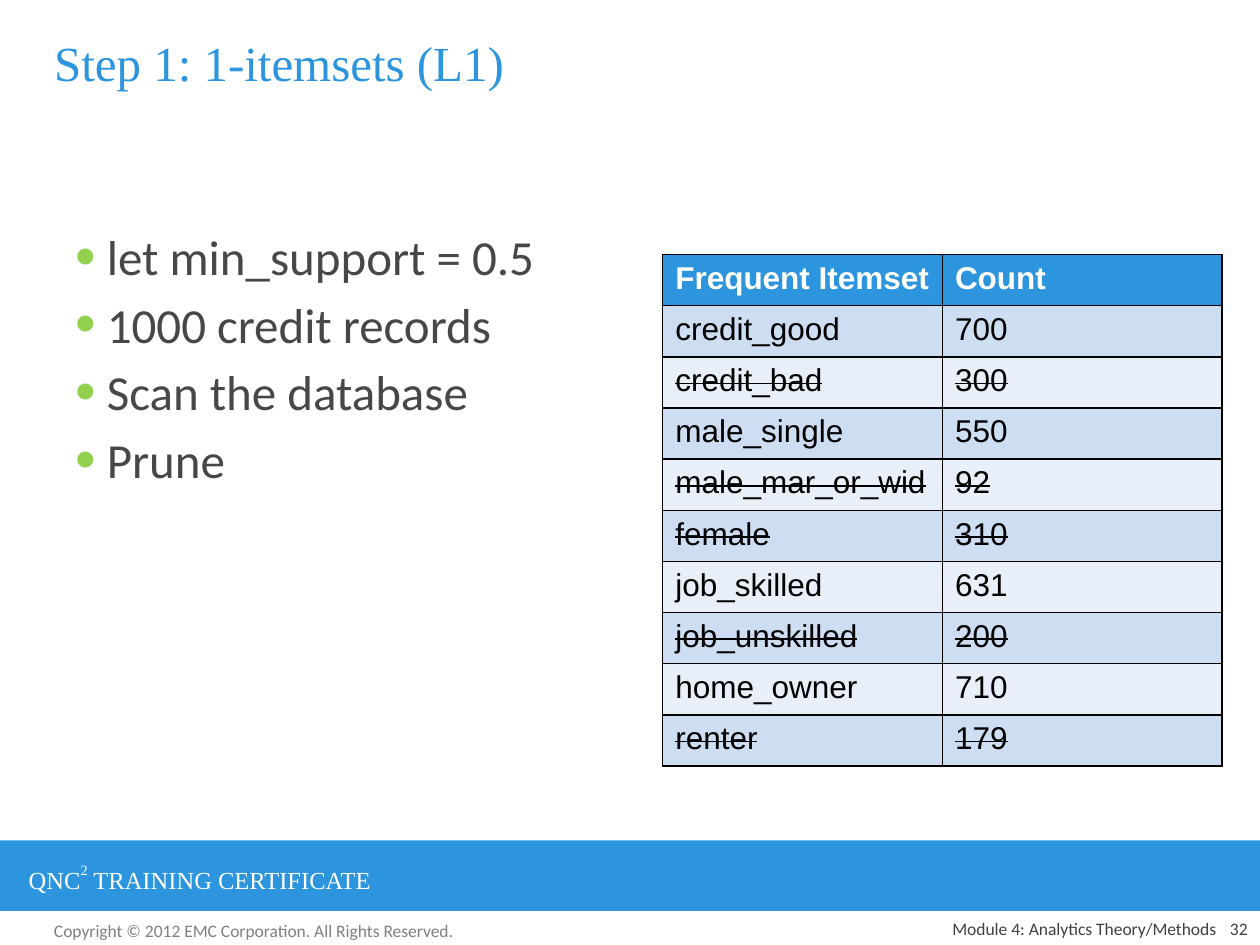
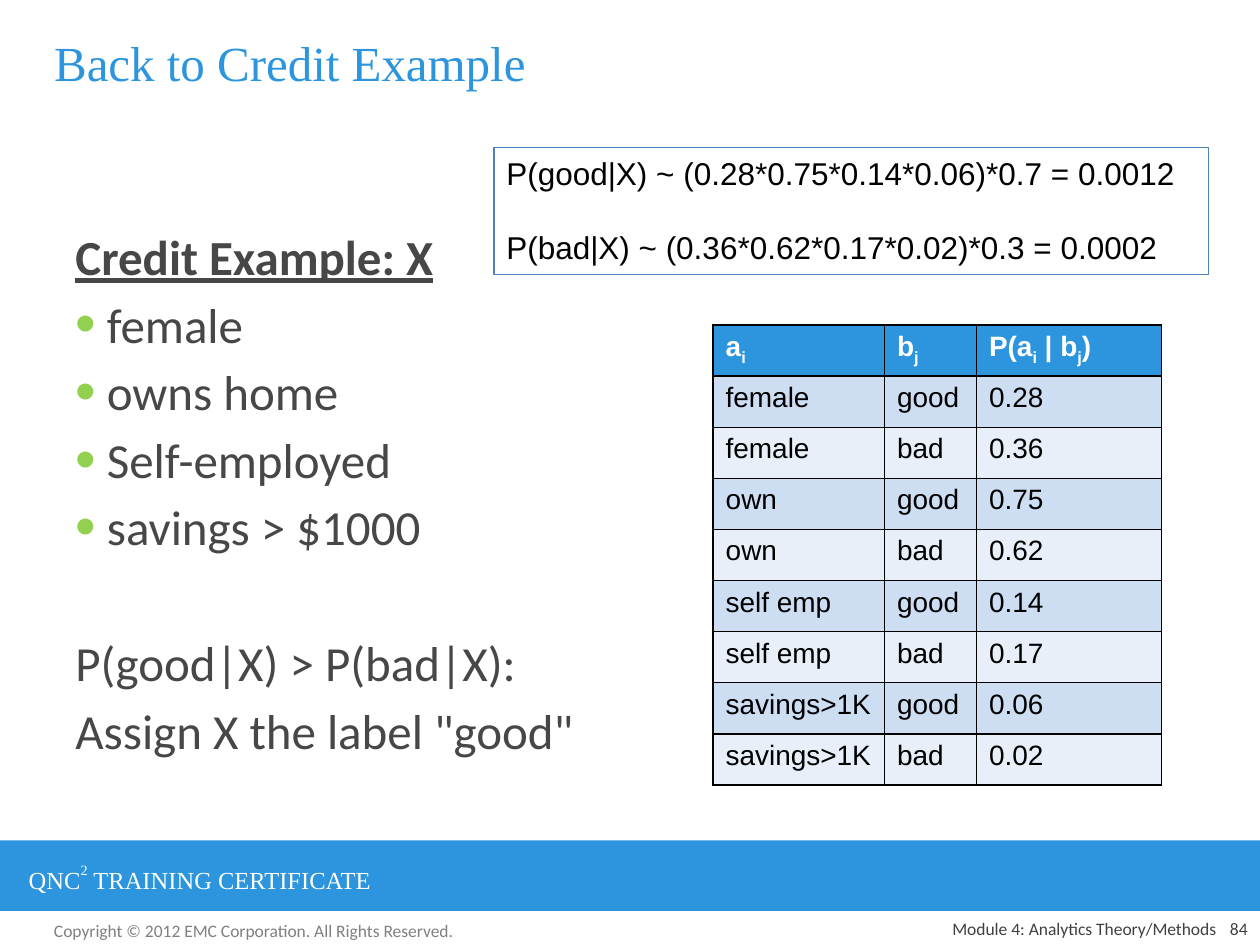
from pptx import Presentation
from pptx.dml.color import RGBColor
from pptx.enum.shapes import MSO_SHAPE as Shape
from pptx.enum.text import MSO_ANCHOR as Anchor, MSO_AUTO_SIZE as AutoSize, PP_ALIGN as Align
from pptx.oxml.ns import qn
from pptx.util import Inches, Pt
from lxml.etree import SubElement

BLUE = RGBColor(0x2C, 0x95, 0xDD)
BOX_LINE = RGBColor(0x4F, 0x81, 0xBD)
BAND_ROWS = (RGBColor(0xE8, 0xEF, 0xF9), RGBColor(0xCD, 0xDD, 0xF2))
GREEN = RGBColor(0x92, 0xD0, 0x50)
BODY_GRAY = RGBColor(0x47, 0x47, 0x47)
FOOTER_GRAY = RGBColor(0x40, 0x40, 0x40)
COPYRIGHT_GRAY = RGBColor(0x80, 0x80, 0x80)
WHITE = RGBColor(0xFF, 0xFF, 0xFF)
BLACK = RGBColor(0, 0, 0)

HEADING_FONT, BODY_FONT, TABLE_FONT = "Times New Roman", "Calibri", "Arial"
LINE_GAP = 5
BLANK_LINE_GAP = 44
SUBSCRIPT, SUPERSCRIPT = -25, 56


def place(shape, left, top, width, height):
    shape.left, shape.top = Inches(left), Inches(top)
    shape.width, shape.height = Inches(width), Inches(height)


def write(para, content, font, size, color, bold=None, strike=False):
    """Fill a paragraph with a string, or with (text, baseline percent) spans."""
    if isinstance(content, str):
        para.text = content
    else:
        for text, baseline in content:
            span = para.add_run()
            span.text = text
            if baseline:
                span._r.get_or_add_rPr().set("baseline", str(baseline * 1000))
    for span in para.runs:
        span.font.name, span.font.size, span.font.bold = font, Pt(size), bold
        span.font.color.rgb = color
        if strike:
            span._r.get_or_add_rPr().set("strike", "sngStrike")


def hang(para, bullet):
    props = para._p.get_or_add_pPr()
    props.set("marL", str(Inches(0.25)))
    props.set("indent", str(Inches(-0.25)))
    if bullet:
        color = SubElement(props, qn("a:buClr"))
        SubElement(color, qn("a:srgbClr")).set("val", str(GREEN))
        SubElement(props, qn("a:buSzPct")).set("val", "120000")
        SubElement(props, qn("a:buFont")).set("typeface", "Arial")
        SubElement(props, qn("a:buChar")).set("char", "•")


def outline_cell(cell):
    props = cell._tc.get_or_add_tcPr()
    for side in ("lnL", "lnR", "lnT", "lnB"):
        line = SubElement(props, qn(f"a:{side}"))
        line.set("w", str(Pt(1)))
        fill = SubElement(line, qn("a:solidFill"))
        SubElement(fill, qn("a:srgbClr")).set("val", str(BLACK))


class CourseDeck:
    """Holds the deck, its style and the current page."""

    def __init__(self):
        self.deck = Presentation()
        self.deck.slide_width, self.deck.slide_height = Inches(10), Inches(7.5)
        self.page = None

    def new_page(self, title, number):
        self.page = self.deck.slides.add_slide(self.deck.slide_layouts[5])
        self.title(title)
        self.text("Copyright © 2012 EMC Corporation. All Rights Reserved.",
                  (0.33, 7.25, 3.42, 0.27), color=COPYRIGHT_GRAY)
        self.brand_band()
        footer = {"align": Align.RIGHT, "anchor": Anchor.BOTTOM}
        self.text(str(number), (9.5, 7.25, 0.5, 0.25), **footer)
        self.text("Module 4: Analytics Theory/Methods", (5.17, 7.25, 4.58, 0.25), **footer)

    def title(self, text):
        title = self.page.shapes.title
        place(title, 0.33, 0.08, 9.25, 0.83)
        frame = title.text_frame
        frame.auto_size, frame.word_wrap = AutoSize.NONE, True
        frame.vertical_anchor = Anchor.MIDDLE
        write(frame.paragraphs[0], text, HEADING_FONT, 28, BLUE)
        frame.paragraphs[0].alignment = Align.LEFT

    def rectangle(self, bounds):
        box = self.page.shapes.add_shape(Shape.RECTANGLE, *map(Inches, bounds))
        box.shadow.inherit = False
        return box

    def brand_band(self):
        band = self.rectangle((0, 6.67, 10, 0.56))
        band.fill.solid()
        band.fill.fore_color.rgb = BLUE
        band.line.fill.background()
        self.text([("QNC", 0), ("2", SUPERSCRIPT), (" TRAINING CERTIFICATE", 0)],
                  (0.13, 6.79, 3.7, 0.34), HEADING_FONT, 14, WHITE)

    def text_frame(self, bounds):
        box = self.page.shapes.add_textbox(*map(Inches, bounds))
        box.text_frame.word_wrap = True
        return box.text_frame

    def text(self, content, bounds, font=BODY_FONT, size=10, color=FOOTER_GRAY,
             align=Align.LEFT, anchor=Anchor.TOP):
        frame = self.text_frame(bounds)
        frame.vertical_anchor = anchor
        write(frame.paragraphs[0], content, font, size, color)
        frame.paragraphs[0].alignment = align

    def body(self, bullets, heading=None, conclusion=()):
        """Bulleted list with an optional heading above and plain lines below."""
        lines = [(text, True, LINE_GAP) for text in bullets]
        if heading:
            lines.insert(0, (heading, False, 0))
        for index, text in enumerate(conclusion):
            lines.append((text, False, LINE_GAP if index else BLANK_LINE_GAP))
        frame = self.text_frame((0.5, 1.75, 4.42, 4.95))
        for index, (text, bullet, gap) in enumerate(lines):
            para = frame.add_paragraph() if index else frame.paragraphs[0]
            hang(para, bullet)
            if index:
                para.space_before = Pt(gap)
            write(para, text, BODY_FONT, 28, BODY_GRAY)
        if heading:
            font = frame.paragraphs[0].runs[0].font
            font.bold = font.underline = True

    def table(self, rows, left, top, widths, height, size, struck=()):
        """Banded table; rows whose first cell is in struck are crossed out."""
        bounds = (left, top, sum(widths), height)
        table = self.page.shapes.add_table(len(rows), len(widths), *map(Inches, bounds)).table
        for column, width in zip(table.columns, widths):
            column.width = Inches(width)
        for r, row in enumerate(rows):
            table.rows[r].height = Inches(height / len(rows))
            for c, content in enumerate(row):
                cell = table.cell(r, c)
                outline_cell(cell)
                cell.fill.solid()
                cell.fill.fore_color.rgb = BAND_ROWS[r % 2] if r else BLUE
                write(cell.text_frame.paragraphs[0], content, TABLE_FONT, size,
                      BLACK if r else WHITE, bold=r == 0, strike=row[0] in struck)

    def formula_box(self, formulas, bounds):
        box = self.rectangle(bounds)
        box.fill.background()
        box.line.color.rgb, box.line.width = BOX_LINE, Pt(0.75)
        frame = box.text_frame
        frame.word_wrap, frame.vertical_anchor = True, Anchor.TOP
        for index, formula in enumerate(formulas):
            para = frame.add_paragraph() if index else frame.paragraphs[0]
            write(para, formula, TABLE_FONT, 18, BLACK)
            para.alignment = Align.LEFT
            if index:
                para.space_before = Pt(21)


def add_itemsets(course):
    course.new_page("Step 1: 1-itemsets (L1)", 32)
    course.body(["let min_support = 0.5", "1000 credit records", "Scan the database", "Prune"])
    counts = {"credit_good": 700, "credit_bad": 300, "male_single": 550,
              "male_mar_or_wid": 92, "female": 310, "job_skilled": 631,
              "job_unskilled": 200, "home_owner": 710, "renter": 179}
    rows = [("Frequent Itemset", "Count")]
    rows += [(item, str(count)) for item, count in counts.items()]
    pruned = [item for item, count in counts.items() if count < 500]
    course.table(rows, 5.26, 2.02, (2.22, 2.22), 4.06, 18, pruned)


def add_credit_example(course):
    course.new_page("Back to Credit Example", 84)
    course.body(["female", "owns home", "Self-employed", "savings > $1000"],
                heading="Credit Example: X",
                conclusion=["P(good|X) > P(bad|X):", 'Assign X the label "good"'])
    rows = [([("a", 0), ("i", SUBSCRIPT)],
             [("b", 0), ("j", SUBSCRIPT)],
             [("P(a", 0), ("i", SUBSCRIPT), (" | b", 0), ("j", SUBSCRIPT), (")", 0)])]
    chances = {"female": ("0.28", "0.36"), "own": ("0.75", "0.62"),
               "self emp": ("0.14", "0.17"), "savings>1K": ("0.06", "0.02")}
    for attribute, (good, bad) in chances.items():
        rows += [(attribute, "good", good), (attribute, "bad", bad)]
    course.table(rows, 5.66, 2.58, (1.36, 0.73, 1.47), 3.65, 16)
    course.formula_box(["P(good|X) ~ (0.28*0.75*0.14*0.06)*0.7 = 0.0012",
                        "P(bad|X) ~ (0.36*0.62*0.17*0.02)*0.3 = 0.0002"],
                       (3.92, 1.17, 5.67, 1.01))


def main():
    course = CourseDeck()
    add_itemsets(course)
    add_credit_example(course)
    course.deck.save("out.pptx")


if __name__ == "__main__":
    main()
